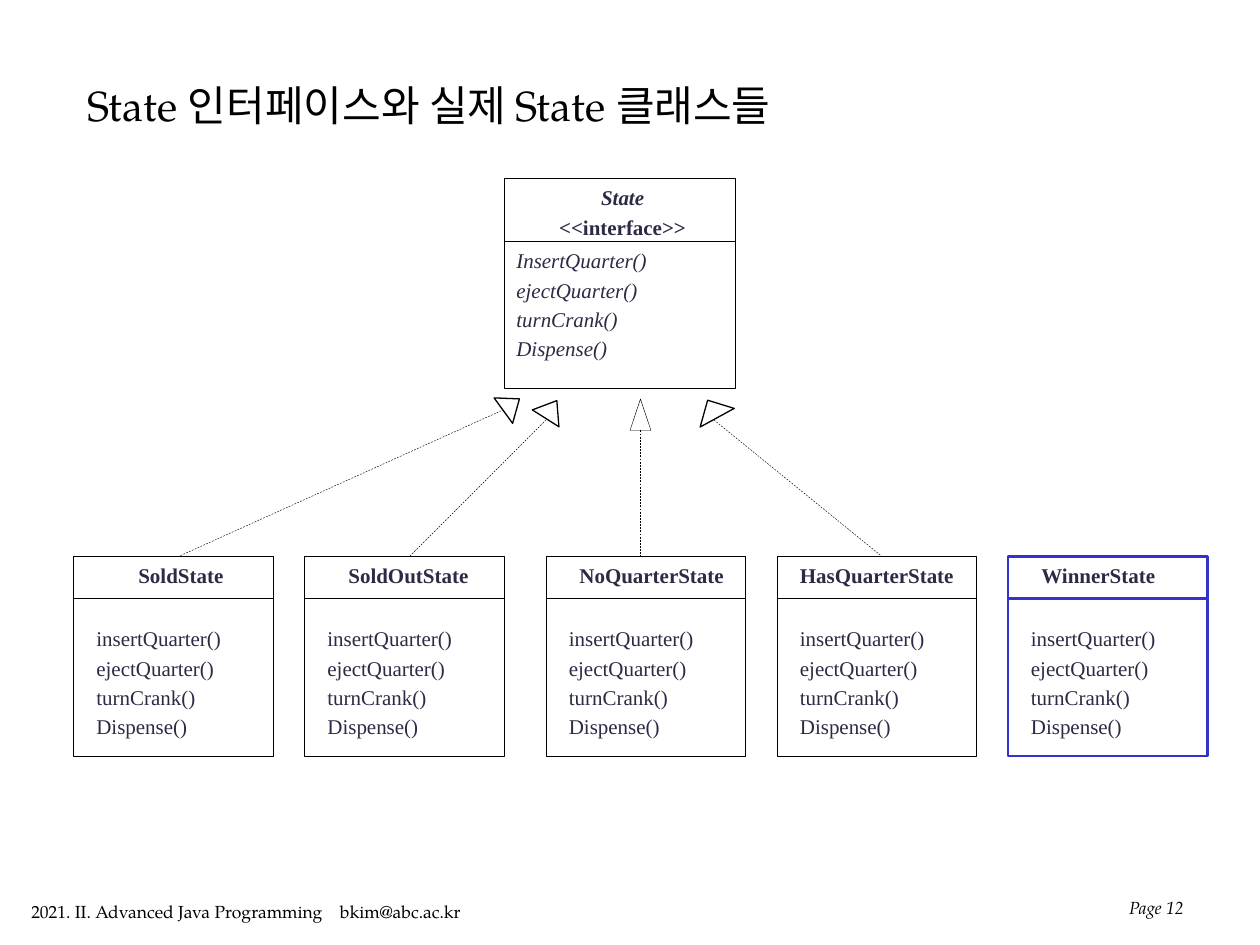
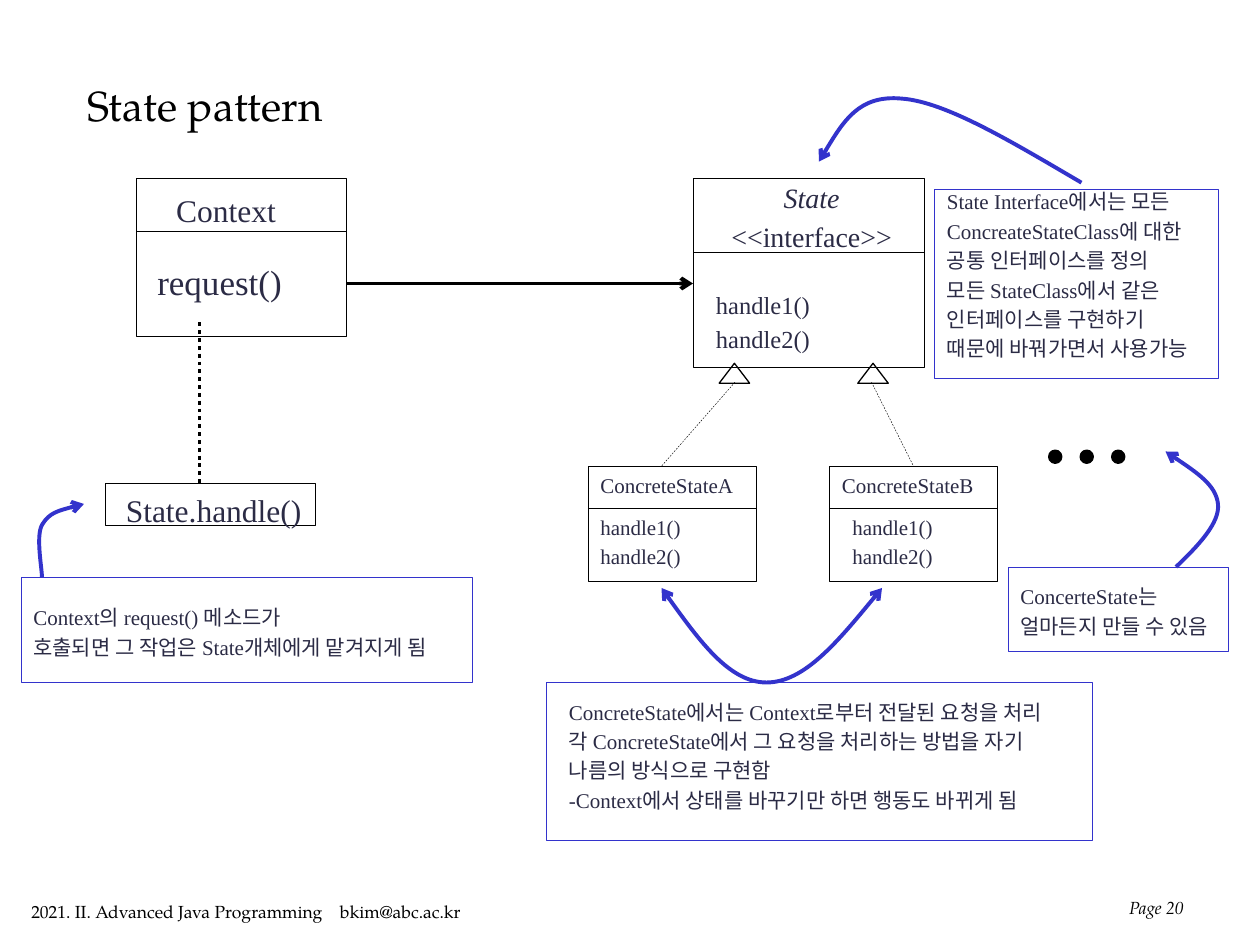
from dataclasses import dataclass
from typing import Optional

from lxml.etree import SubElement
from pptx import Presentation
from pptx.dml.color import RGBColor
from pptx.enum.dml import MSO_LINE
from pptx.enum.shapes import MSO_CONNECTOR, MSO_SHAPE
from pptx.enum.text import MSO_ANCHOR, MSO_AUTO_SIZE, PP_ALIGN
from pptx.oxml.ns import qn
from pptx.util import Emu, Inches, Pt

Point = tuple[float, float]


@dataclass(frozen=True)
class Theme:
    ink: RGBColor = RGBColor(0x00, 0x00, 0x00)
    paper: RGBColor = RGBColor(0xFF, 0xFF, 0xFF)
    text: RGBColor = RGBColor(0x2B, 0x2B, 0x45)
    accent: RGBColor = RGBColor(0x33, 0x33, 0xCC)
    title_font: str = "TeX Gyre Pagella"
    body_font: str = "Times New Roman"
    title_size: float = 24
    body_size: float = 12
    footer_size: float = 10
    paragraph_gap: float = 0.2  # share of the type size
    hairline: float = 0.25
    thin: float = 0.75
    medium: float = 1.5
    thick: float = 2.25


THEME = Theme()
COLUMNS, ROWS = 120, 90
CELL = Inches(10) // COLUMNS
TITLE_LAYOUT = 5


@dataclass(frozen=True)
class Label:
    """Lines of text, placed relative to the corner of a panel."""
    left: float
    top: float
    width: float
    lines: tuple[str, ...]
    size: float = THEME.body_size
    bold: bool = False
    italic_lines: int = 0
    align: PP_ALIGN = PP_ALIGN.LEFT


@dataclass(frozen=True)
class Panel:
    left: float
    top: float
    width: float
    height: float
    labels: tuple[Label, ...]
    divider: Optional[float] = None
    color: RGBColor = THEME.ink
    weight: float = THEME.hairline


@dataclass(frozen=True)
class Link:
    start: Point
    end: Point
    weight: float = THEME.hairline
    dash: Optional[MSO_LINE] = None
    color: RGBColor = THEME.ink
    arrow: bool = False


@dataclass(frozen=True)
class Mark:
    left: float
    top: float
    width: float
    height: float
    kind: MSO_SHAPE = MSO_SHAPE.ISOSCELES_TRIANGLE
    turn: float = 0
    weight: float = THEME.thin
    fill: Optional[RGBColor] = None


@dataclass(frozen=True)
class Curve:
    """Chained cubic Bezier arcs: a start, then three points for each arc."""
    points: tuple[Point, ...]
    head: bool = False
    tail: bool = False


@dataclass(frozen=True)
class Page:
    title: str
    number: int
    panels: tuple[Panel, ...]
    links: tuple[Link, ...]
    marks: tuple[Mark, ...]
    curves: tuple[Curve, ...] = ()


def cells(count: float) -> Emu:
    return Emu(round(count * CELL))


def frame(left: float, top: float, width: float, height: float) -> tuple[Emu, ...]:
    return tuple(map(cells, (left, top, width, height)))


def set_font(para, name: str, size: float, color: RGBColor,
             bold: bool = False, italic: bool = False) -> None:
    """Format a whole paragraph, with pair kerning off."""
    font = para.font
    font.name, font.size, font.bold, font.italic = name, Pt(size), bold, italic
    font.color.rgb = color
    para._p.pPr.find(qn("a:defRPr")).set("kern", "0")


def set_line(shape, color: RGBColor, weight: float,
             head: bool = False, tail: bool = False) -> None:
    shape.line.color.rgb = color
    shape.line.width = Pt(weight)
    outline = shape.element.spPr.find(qn("a:ln"))
    for tag, wanted in (("a:headEnd", head), ("a:tailEnd", tail)):
        if wanted:
            SubElement(outline, qn(tag), type="arrow")


def set_fill(shape, color: Optional[RGBColor]) -> None:
    shape.shadow.inherit = False
    if color is None:
        shape.fill.background()
    else:
        shape.fill.solid()
        shape.fill.fore_color.rgb = color


def draw_label(slide, label: Label, left: float, top: float) -> None:
    box = slide.shapes.add_textbox(
        *frame(left + label.left, top + label.top, label.width, 3 * len(label.lines)))
    text = box.text_frame
    text.word_wrap = False
    text.auto_size = MSO_AUTO_SIZE.SHAPE_TO_FIT_TEXT
    text.text = "\n".join(label.lines)
    for index, para in enumerate(text.paragraphs):
        para.alignment = label.align
        para.space_before = Pt(label.size * THEME.paragraph_gap)
        set_font(para, THEME.body_font, label.size, THEME.text,
                 label.bold, index < label.italic_lines)


def draw_link(slide, link: Link) -> None:
    line = slide.shapes.add_connector(
        MSO_CONNECTOR.STRAIGHT, *map(cells, (*link.start, *link.end)))
    if link.dash:
        line.line.dash_style = link.dash
    set_line(line, link.color, link.weight, tail=link.arrow)
    SubElement(line.element.spPr, qn("a:effectLst"))


def draw_panel(slide, panel: Panel) -> None:
    box = slide.shapes.add_shape(
        MSO_SHAPE.RECTANGLE, *frame(panel.left, panel.top, panel.width, panel.height))
    set_fill(box, None)
    set_line(box, panel.color, panel.weight)
    if panel.divider is not None:
        row = panel.top + panel.divider
        draw_link(slide, Link((panel.left, row), (panel.left + panel.width, row),
                              panel.weight, color=panel.color))
    for label in panel.labels:
        draw_label(slide, label, panel.left, panel.top)


def draw_mark(slide, mark: Mark) -> None:
    shape = slide.shapes.add_shape(
        mark.kind, *frame(mark.left, mark.top, mark.width, mark.height))
    shape.rotation = mark.turn
    set_fill(shape, mark.fill)
    set_line(shape, THEME.ink, mark.weight)


def draw_curve(slide, curve: Curve) -> None:
    """Lay the control points as segments, then join each three into one arc."""
    start, *rest = [(cells(x), cells(y)) for x, y in curve.points]
    builder = slide.shapes.build_freeform(*start)
    builder.add_line_segments(rest, close=False)
    shape = builder.convert_to_shape()
    segments = list(shape.element.spPr.iter(qn("a:lnTo")))
    outline = segments[0].getparent()
    for first in range(0, len(segments), 3):
        arc = SubElement(outline, qn("a:cubicBezTo"))
        for segment in segments[first:first + 3]:
            arc.append(segment[0])
            outline.remove(segment)
    set_fill(shape, None)
    set_line(shape, THEME.accent, THEME.thick, curve.head, curve.tail)


def draw_title(slide, title: str) -> None:
    holder = slide.shapes.title
    holder.left, holder.top, holder.width, holder.height = frame(7.15, 4.35, 91.7, 11.3)
    text = holder.text_frame
    text.text = title
    text.auto_size = MSO_AUTO_SIZE.NONE
    text.vertical_anchor = MSO_ANCHOR.MIDDLE
    para = text.paragraphs[0]
    para.alignment = PP_ALIGN.LEFT
    set_font(para, THEME.title_font, THEME.title_size, THEME.ink)


def draw_footer(slide, number: int) -> None:
    course = slide.shapes.add_textbox(*frame(1.8, 85.2, 44.2, 3.2)).text_frame
    course.word_wrap = False
    course.text = "2021. II. Advanced Java Programming\tbkim@abc.ac.kr"
    para = course.paragraphs[0]
    set_font(para, THEME.title_font, THEME.footer_size, THEME.ink)
    defaults = para._p.pPr.find(qn("a:defRPr"))
    tabs = SubElement(para._p.pPr, qn("a:tabLst"))
    SubElement(tabs, qn("a:tab"), pos=str(Inches(2.45)), algn="l")
    defaults.addprevious(tabs)

    page_box = slide.shapes.add_textbox(*frame(92, 82, 21.9, 6)).text_frame
    page_box.word_wrap = True
    page_box.vertical_anchor = MSO_ANCHOR.BOTTOM
    page_box.text = f"Page {number}"
    para = page_box.paragraphs[0]
    para.alignment = PP_ALIGN.RIGHT
    set_font(para, THEME.title_font, THEME.footer_size, THEME.ink, italic=True)


def draw_page(deck, page: Page) -> None:
    slide = deck.slides.add_slide(deck.slide_layouts[TITLE_LAYOUT])
    draw_title(slide, page.title)
    for draw, items in ((draw_panel, page.panels), (draw_link, page.links),
                        (draw_mark, page.marks), (draw_curve, page.curves)):
        for item in items:
            draw(slide, item)
    draw_footer(slide, page.number)


def state_class(name: str, left: float, name_left: float, name_width: float,
                methods_left: float = 1, color: RGBColor = THEME.ink,
                weight: float = THEME.hairline) -> Panel:
    methods = ("insertQuarter()", "ejectQuarter()", "turnCrank()", "Dispense()")
    return Panel(left, 53, 19, 19, (
        Label(name_left, 0, name_width, (name,), bold=True),
        Label(methods_left, 6, 14.3, methods)), 4, color, weight)


HANDLES = ("handle1()", "handle2()")
INTERFACE = ("State", "<<interface>>")


def concrete_state(letter: str, left: float, methods_left: float) -> Panel:
    return Panel(left, 44.4, 16, 11, (
        Label(0, 0, 15.2, (f"ConcreteState{letter}",)),
        Label(methods_left, 4, 10.2, HANDLES)), 4)


def note(left: float, top: float, width: float, height: float, label: Label) -> Panel:
    return Panel(left, top, width, height, (label,), color=THEME.accent)


def dashed(start: Point, end: Point) -> Link:
    return Link(start, end, dash=MSO_LINE.DASH)


CLASSES_PAGE = Page(
    "State 인터페이스와 실제 State 클래스들", 12,
    panels=(
        Panel(48, 17, 22, 20, (
            Label(4, 0, 14.6, INTERFACE, bold=True, italic_lines=1, align=PP_ALIGN.CENTER),
            Label(0, 6, 14.9, ("InsertQuarter()", "ejectQuarter()", "turnCrank()",
                               "Dispense()"), italic_lines=4)), 6),
        state_class("SoldState", 7, 5, 10.6),
        state_class("SoldOutState", 29, 3, 14),
        state_class("NoQuarterState", 52, 2, 16.2),
        state_class("HasQuarterState", 74, 1, 17.2),
        state_class("WinnerState", 96, 2, 13.3, color=THEME.accent, weight=THEME.medium)),
    links=(dashed((48, 39), (17, 53)), dashed((52, 40), (39, 53)),
           dashed((61, 41), (61, 53)), dashed((68, 40), (84, 53))),
    marks=(Mark(47.2, 37.6, 3, 1.9, turn=53.9, fill=THEME.paper),
           Mark(51, 38, 3, 2, turn=32.4, fill=THEME.paper),
           Mark(66, 38, 3.7, 1.9, turn=331.4, fill=THEME.paper),
           Mark(60, 38, 2, 3, weight=THEME.hairline)))

PATTERN_PAGE = Page(
    "State pattern", 20,
    panels=(
        Panel(13, 17, 20, 15, (Label(2.6, 0.6, 12, ("Context",), 18),
                               Label(0.8, 7.2, 14.4, ("request()",), 20)), 5),
        Panel(66, 17, 22, 18, (
            Label(2.3, -0.4, 18, INTERFACE, 16, italic_lines=1, align=PP_ALIGN.CENTER),
            Label(1, 10, 11.4, HANDLES, 14)), 7),
        concrete_state("A", 56, 0),
        concrete_state("B", 79, 1),
        Panel(10, 46, 20, 4, (Label(0.8, 0.2, 19.3, ("State.handle()",), 18),)),
        note(96, 54, 21, 8, Label(0, 1, 22.1, ("ConcerteState는", "얼마든지 만들 수 있음"))),
        note(52, 65, 52, 15, Label(1, 1, 50.5, (
            "ConcreteState에서는 Context로부터 전달된 요청을 처리",
            "각 ConcreteState에서 그 요청을 처리하는 방법을 자기",
            "나름의 방식으로 구현함",
            "-Context에서 상태를 바꾸기만 하면 행동도 바뀌게 됨"))),
        note(2, 55, 43, 10, Label(0, 2, 43.3, (
            "Context의 request() 메소드가", "호출되면 그 작업은 State개체에게 맡겨지게 됨"))),
        note(89, 18, 27, 18, Label(0, -0.6, 27.7, (
            "State Interface에서는 모든", "ConcreateStateClass에 대한", "공통 인터페이스를 정의",
            "모든 StateClass에서 같은", "인터페이스를 구현하기", "때문에 바꿔가면서 사용가능")))),
    links=(Link((33, 27), (66, 27), THEME.thick, arrow=True),
           Link((19, 30.7), (19, 46), THEME.thick, MSO_LINE.ROUND_DOT),
           dashed((70, 36.4), (63, 44.4)), dashed((83, 36.4), (87, 44.4))),
    marks=(*(Mark(left, 34.6, 2.9, 1.9) for left in (68.5, 81.7)),
           *(Mark(left, 43, 1, 1, MSO_SHAPE.OVAL, weight=THEME.thick, fill=THEME.ink)
             for left in (100, 103, 106))),
    curves=(
        Curve(((8, 48), (6.4, 48.4), (4.7, 48.8), (4, 50),
               (3.4, 51.1), (4, 54.1), (4, 55)), head=True),
        Curve(((63, 56), (66.2, 60.5), (69.5, 65), (73, 65),
               (76.6, 65), (80.3, 60.5), (84, 56)), head=True, tail=True),
        Curve(((112, 54), (114.1, 52), (116.2, 49.8), (116, 48),
               (115.8, 46.2), (113.4, 44.6), (111, 43)), tail=True),
        Curve(((103, 17.4), (96.5, 13.6), (90.1, 9.7), (85.9, 9.4),
               (81.8, 9), (79.9, 12.2), (78, 15.4)), tail=True)))


def main() -> None:
    deck = Presentation()
    deck.slide_width, deck.slide_height = cells(COLUMNS), cells(ROWS)
    for page in (CLASSES_PAGE, PATTERN_PAGE):
        draw_page(deck, page)
    deck.save("out.pptx")


if __name__ == "__main__":
    main()
